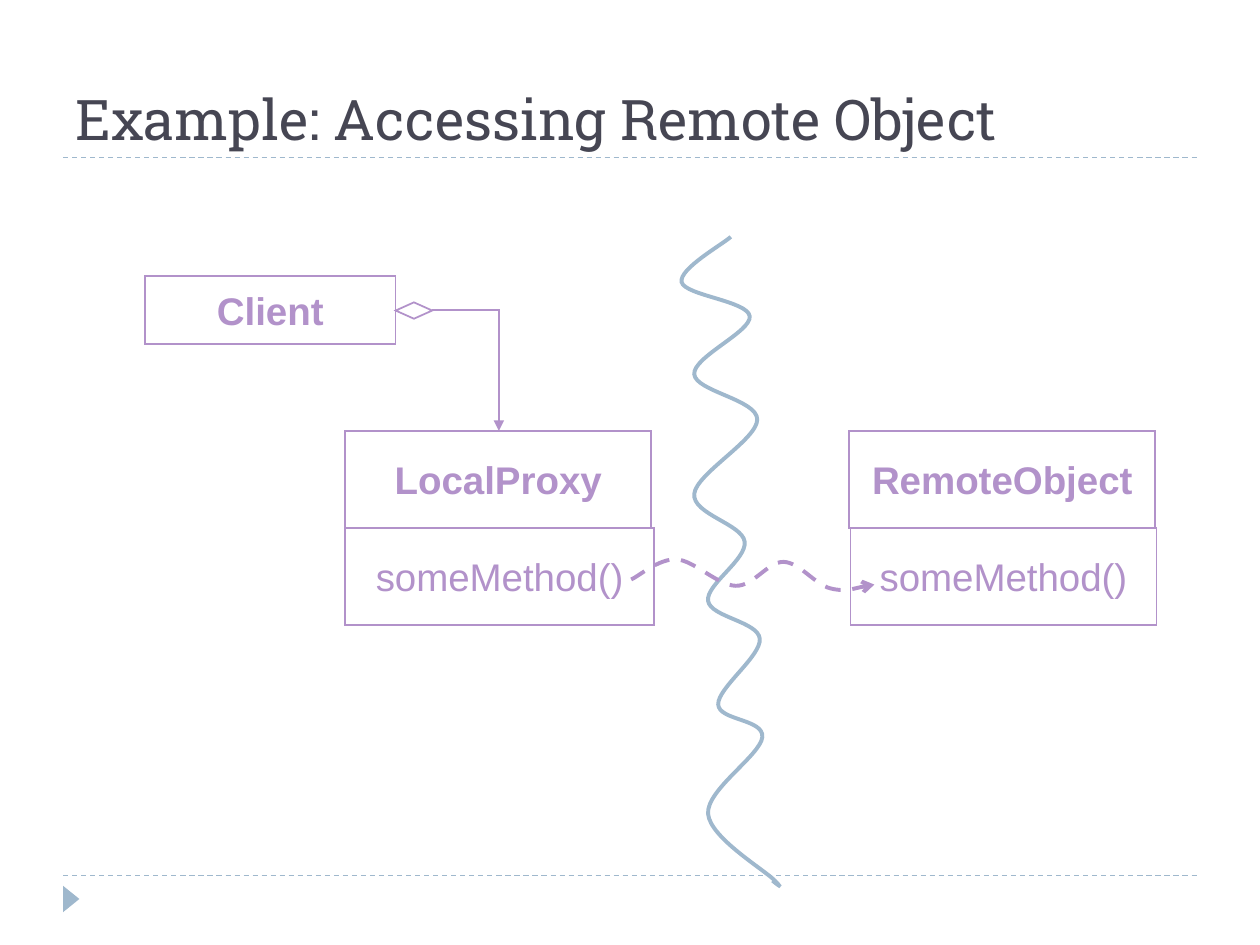
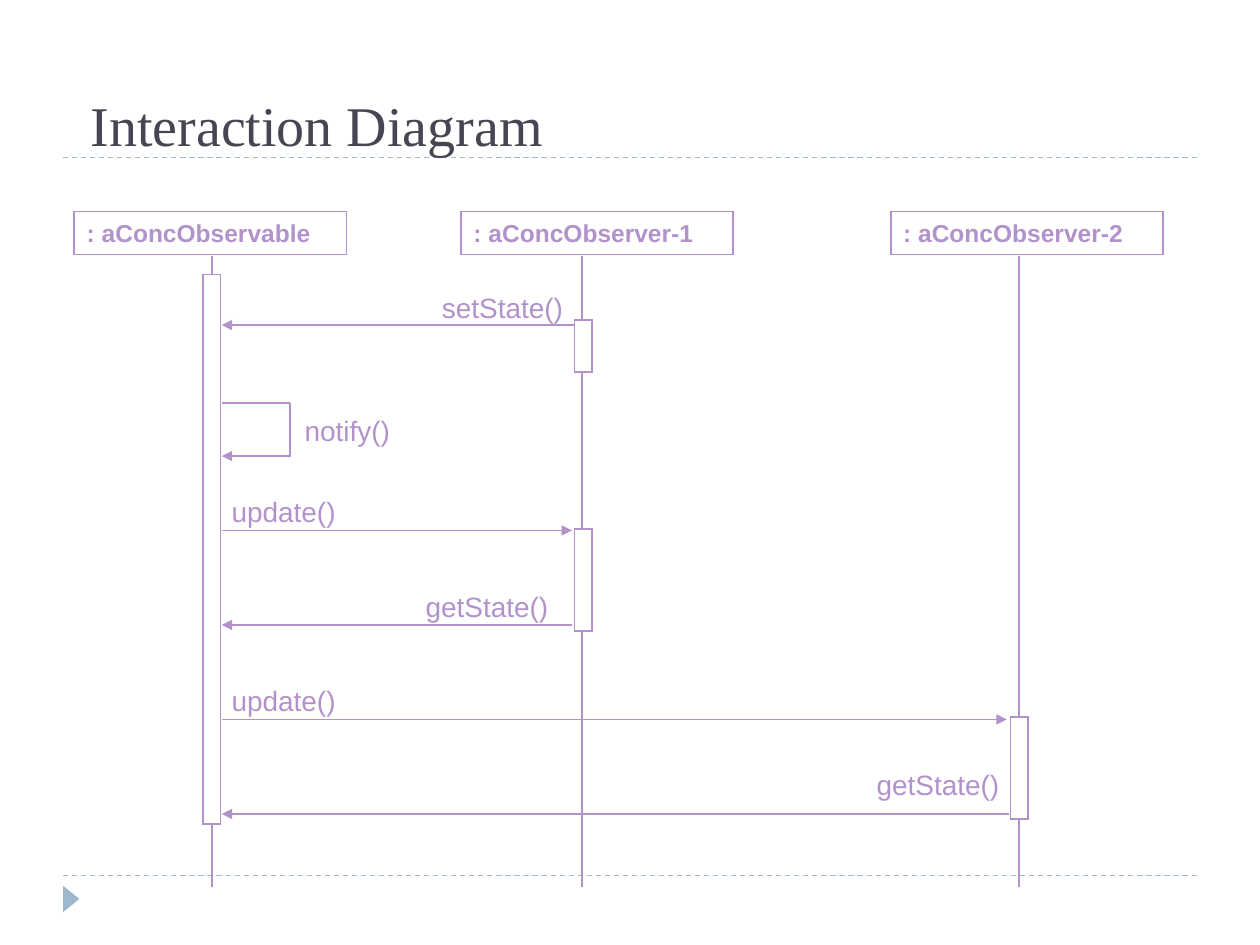
import pptx
import pptx.util
import pptx.dml.color
import pptx.enum.dml
import pptx.enum.shapes
import pptx.enum.text
import pptx.oxml.ns
import lxml.etree

PX = 9144
RGB = pptx.dml.color.RGBColor
INK = RGB(0x46, 0x46, 0x53)
BLUE = RGB(0x9F, 0xB8, 0xCD)
PURPLE = RGB(0xB2, 0x92, 0xCA)
WHITE = RGB(0xFF, 0xFF, 0xFF)
SHAPE = pptx.enum.shapes.MSO_SHAPE
LINK = pptx.enum.shapes.MSO_CONNECTOR
ALIGN = pptx.enum.text.PP_ALIGN
ANCHOR = pptx.enum.text.MSO_ANCHOR
DASH = pptx.enum.dml.MSO_LINE.DASH
qn = pptx.oxml.ns.qn
LABEL = dict(name="Arial", size=pptx.util.Pt(16))
CLASS = dict(name="Arial", size=pptx.util.Pt(22))
HEADER = dict(name="Arial", size=pptx.util.Pt(14), bold=True)


def px(*values):
    return [pptx.util.Emu(v * PX) for v in values]


def set_all(target, values):
    for name, value in values.items():
        setattr(target, name, value)


def stroke(sp, color, width=1, dash=None, arrow=None):
    sp.line.color.rgb = color
    set_all(sp.line, dict(width=pptx.util.Pt(width), dash_style=dash))
    ln = sp.line._get_or_add_ln()
    lxml.etree.SubElement(ln, qn("a:miter")).set("lim", "800000")
    if arrow:
        lxml.etree.SubElement(ln, qn("a:tailEnd")).set("type", arrow)


def write(sp, text, font, color=PURPLE, align=ALIGN.LEFT, anchor=ANCHOR.TOP, wrap=True):
    tf = sp.text_frame
    set_all(tf, dict(word_wrap=wrap, vertical_anchor=anchor))
    p = tf.paragraphs[0]
    p.alignment = align
    r = p.add_run()
    r.text = text
    set_all(r.font, font)
    r.font.color.rgb = color


def add_text(s, box, text, font, **options):
    write(s.shapes.add_textbox(*px(*box)), text, font, **options)


def add_outline(s, box, kind=SHAPE.RECTANGLE, fill=None):
    sp = s.shapes.add_shape(kind, *px(*box))
    sp.shadow.inherit = False
    if fill is None:
        sp.fill.background()
    else:
        sp.fill.solid()
        sp.fill.fore_color.rgb = fill
    stroke(sp, PURPLE)
    return sp


def add_line(s, x1, y1, x2, y2, color=PURPLE, kind=LINK.STRAIGHT, **options):
    sp = s.shapes.add_connector(kind, *px(x1, y1, x2, y2))
    stroke(sp, color, **options)
    lxml.etree.SubElement(sp._element.spPr, qn("a:effectLst"))
    return sp


def curve_controls(knots):
    padded = [knots[0], *knots, knots[-1]]
    points = []
    for before, start, end, after in zip(padded, padded[1:], padded[2:], padded[3:]):
        points.append([b + (c - a) / 6 for a, b, c in zip(before, start, end)])
        points.append([c - (d - b) / 6 for b, c, d in zip(start, end, after)])
        points.append(end)
    return points


def add_curve(s, left, top, knots, color, **options):
    points = [(round((left + x) * PX), round((top + y) * PX))
              for x, y in [knots[0], *curve_controls(knots)]]
    builder = s.shapes.build_freeform(*points[0])
    builder.add_line_segments(points[1:], close=False)
    sp = builder.convert_to_shape()
    segments = list(sp._element.iter(qn("a:lnTo")))
    for first, second, end in zip(segments[::3], segments[1::3], segments[2::3]):
        curve = lxml.etree.Element(qn("a:cubicBezTo"))
        first.addprevious(curve)
        for segment in (first, second, end):
            curve.append(segment[0])
            segment.getparent().remove(segment)
    sp.shadow.inherit = False
    sp.fill.background()
    stroke(sp, color, **options)


def new_slide(prs, title, box, font_name):
    s = prs.slides.add_slide(prs.slide_layouts[6])
    for y in (695, 125):
        add_line(s, 50, y, 950, y, BLUE, width=0.75, dash=DASH)
    sp = s.shapes.add_shape(SHAPE.ISOSCELES_TRIANGLE, *px(46, 707, 21, 13))
    sp.shadow.inherit = False
    sp.rotation = 90
    sp.fill.solid()
    sp.fill.fore_color.rgb = BLUE
    sp.line.fill.background()
    add_text(s, box, title, dict(name=font_name, size=pptx.util.Pt(32)),
             color=INK, anchor=ANCHOR.BOTTOM)
    return s


def class_box(s, left, top, width, height, name, method=None, shift=0, extra=0):
    for row, text in enumerate(filter(None, (name, method))):
        sp = add_outline(s, (left + row * shift, top + row * height,
                             width + row * extra, height))
        write(sp, text, dict(CLASS, bold=row == 0),
              align=ALIGN.CENTER, anchor=ANCHOR.MIDDLE, wrap=False)


def remote_diagram(s, left, top):
    class_box(s, left, top + 31, 199, 54, "Client")
    boundary = [(465, 0), (426, 36), (480, 63), (436, 109), (486, 145),
                (436, 204), (476, 242), (447, 289), (488, 319), (455, 371),
                (490, 397), (447, 458), (500, 511), (498, 511)]
    add_curve(s, left, top, boundary, BLUE, width=2.25)
    for x, name, shift, extra in ((559, "RemoteObject", 1, 0), (159, "LocalProxy", 0, 2)):
        class_box(s, left + x, top + 154, 243, 77, name, "someMethod()", shift, extra)
    call = [(386, 272), (422, 256), (469, 277), (507, 258), (544, 279), (579, 276)]
    add_curve(s, left, top, call, PURPLE, width=2.25, dash=DASH, arrow="arrow")
    elbow = add_line(s, left + 228, top + 58, left + 281, top + 154,
                     kind=LINK.ELBOW, arrow="triangle")
    elbow._element.spPr.find(qn("a:prstGeom")).set("prst", "bentConnector2")
    add_outline(s, (left + 199, top + 52, 29, 13), SHAPE.DIAMOND)


def lifeline(s, left, top, name, axis, bar_left, activations):
    write(add_outline(s, (left, top, 216, 34)), name, HEADER)
    add_line(s, left + axis, top + 35, left + axis, top + 536)
    for y, height in activations:
        add_outline(s, (left + bar_left, top + y, 14, height), fill=WHITE)


def self_call(s, left, top, width, height, text):
    right, bottom = left + width, top + height
    add_line(s, left, top, right, top)
    add_line(s, right, bottom, left, bottom, arrow="triangle")
    add_line(s, right, top, right, bottom + 1)
    add_text(s, (right + 2, top + 3, 127, 37), text, LABEL)


def sequence_diagram(s, left, top):
    lifelines = [(0, ": aConcObservable", 109, 102, [(50, 436)]),
                 (307, ": aConcObserver-1", 96, 90, [(86, 41), (252, 81)]),
                 (648, ": aConcObserver-2", 102, 95, [(401, 81)])]
    for x, name, axis, bar_left, activations in lifelines:
        lifeline(s, left + x, top, name, axis, bar_left, activations)
    messages = [("setState()", 397, 117, 90, 282, 32),
                ("update()", 117, 395, 253, 115, 33),
                ("getState()", 395, 117, 328, 269, 33),
                ("update()", 117, 740, 403, 115, 33),
                ("getState()", 742, 117, 478, 627, 42)]
    for text, start, end, y, label, rise in messages:
        add_line(s, left + start, top + y, left + end, top + y, arrow="triangle")
        add_text(s, (left + label, top + y - rise, 127, 37), text, LABEL)
    self_call(s, left + 117, top + 152, 54, 42, "notify()")


def main():
    prs = pptx.Presentation()
    width, height = px(1000, 750)
    set_all(prs, dict(slide_width=width, slide_height=height))
    s = new_slide(prs, "Example: Accessing Remote Object", (50, 25, 900, 100), "Roboto Slab")
    remote_diagram(s, 115, 188)
    s = new_slide(prs, "Interaction Diagram", (62, 38, 800, 92), "Times New Roman")
    sequence_diagram(s, 59, 168)
    prs.save("out.pptx")


if __name__ == "__main__":
    main()
